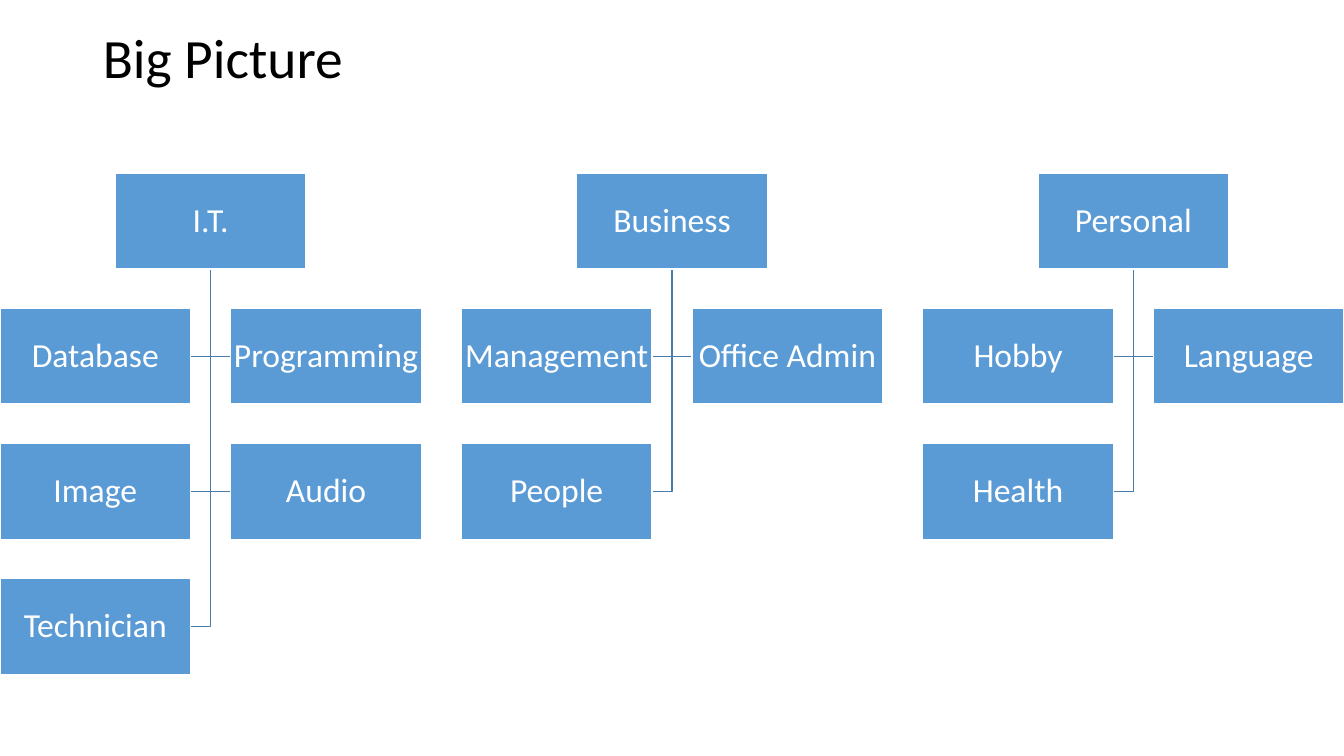
from dataclasses import dataclass

from pptx import Presentation
from pptx.dml.color import RGBColor
from pptx.enum.shapes import MSO_SHAPE
from pptx.enum.text import MSO_ANCHOR, MSO_AUTO_SIZE, PP_ALIGN
from pptx.util import Inches, Pt


@dataclass(frozen=True)
class Theme:
    font: str = "Calibri"
    title_size: float = 39.6
    box_size: float = 24
    line_width: float = 1
    black: RGBColor = RGBColor(0x00, 0x00, 0x00)
    white: RGBColor = RGBColor(0xFF, 0xFF, 0xFF)
    box_fill: RGBColor = RGBColor(0x5B, 0x9B, 0xD5)
    branch: RGBColor = RGBColor(0x49, 0x7C, 0xAB)


theme = Theme()


def write_text(shape, text, *, size, color, align, inset=None, wrap=True):
    frame = shape.text_frame
    frame.auto_size = MSO_AUTO_SIZE.NONE
    frame.word_wrap = wrap
    frame.vertical_anchor = MSO_ANCHOR.MIDDLE
    if inset is not None:
        frame.margin_left = frame.margin_right = Inches(inset)
        frame.margin_top = frame.margin_bottom = Inches(inset)
    paragraph = frame.paragraphs[0]
    paragraph.alignment = align
    paragraph.line_spacing = 0.9
    run = paragraph.add_run()
    run.text = text
    run.font.name = theme.font
    run.font.size = Pt(size)
    run.font.color.rgb = color


slide_width = 13.33
presentation = Presentation()
presentation.slide_width = Inches(slide_width)
presentation.slide_height = Inches(7.5)
slide = presentation.slides.add_slide(presentation.slide_layouts[5])

title = slide.shapes.title
title.left, title.top = Inches(0.92), Inches(0.31)
title.width, title.height = Inches(11.5), Inches(0.59)
write_text(title, "Big Picture", size=theme.title_size, color=theme.black, align=PP_ALIGN.LEFT)

areas = {
    "I.T.": ["Database", "Programming", "Image", "Audio", "Technician"],
    "Business": ["Management", "Office Admin", "People"],
    "Personal": ["Hobby", "Language", "Health"],
}
box_width, box_height = 1.89, 0.95
gap = (slide_width - 6 * box_width) / 5
column_pitch = box_width + gap
first_top, row_pitch = 1.72, 1.34

boxes = []
for area_index, (area, topics) in enumerate(areas.items()):
    area_left = area_index * 2 * column_pitch
    trunk = area_left + box_width + gap / 2
    boxes.append((area, trunk - box_width / 2, first_top))
    for topic_index, topic in enumerate(topics):
        row, side = divmod(topic_index, 2)
        left = area_left + side * column_pitch
        top = first_top + (row + 1) * row_pitch
        boxes.append((topic, left, top))

        middle = Inches(top + box_height / 2)
        box_edge = left if side else left + box_width
        builder = slide.shapes.build_freeform(Inches(trunk), Inches(first_top + box_height))
        builder.add_line_segments([(Inches(trunk), middle), (Inches(box_edge), middle)], close=False)
        branch = builder.convert_to_shape()
        branch.shadow.inherit = False
        branch.fill.background()
        branch.line.color.rgb = theme.branch
        branch.line.width = Pt(theme.line_width)

for label, left, top in boxes:
    box = slide.shapes.add_shape(
        MSO_SHAPE.RECTANGLE, Inches(left), Inches(top), Inches(box_width), Inches(box_height)
    )
    box.shadow.inherit = False
    box.fill.solid()
    box.fill.fore_color.rgb = theme.box_fill
    box.line.color.rgb = theme.white
    box.line.width = Pt(theme.line_width)
    write_text(
        box, label, size=theme.box_size, color=theme.white,
        align=PP_ALIGN.CENTER, inset=0.02, wrap=False,
    )

presentation.save("out.pptx")
